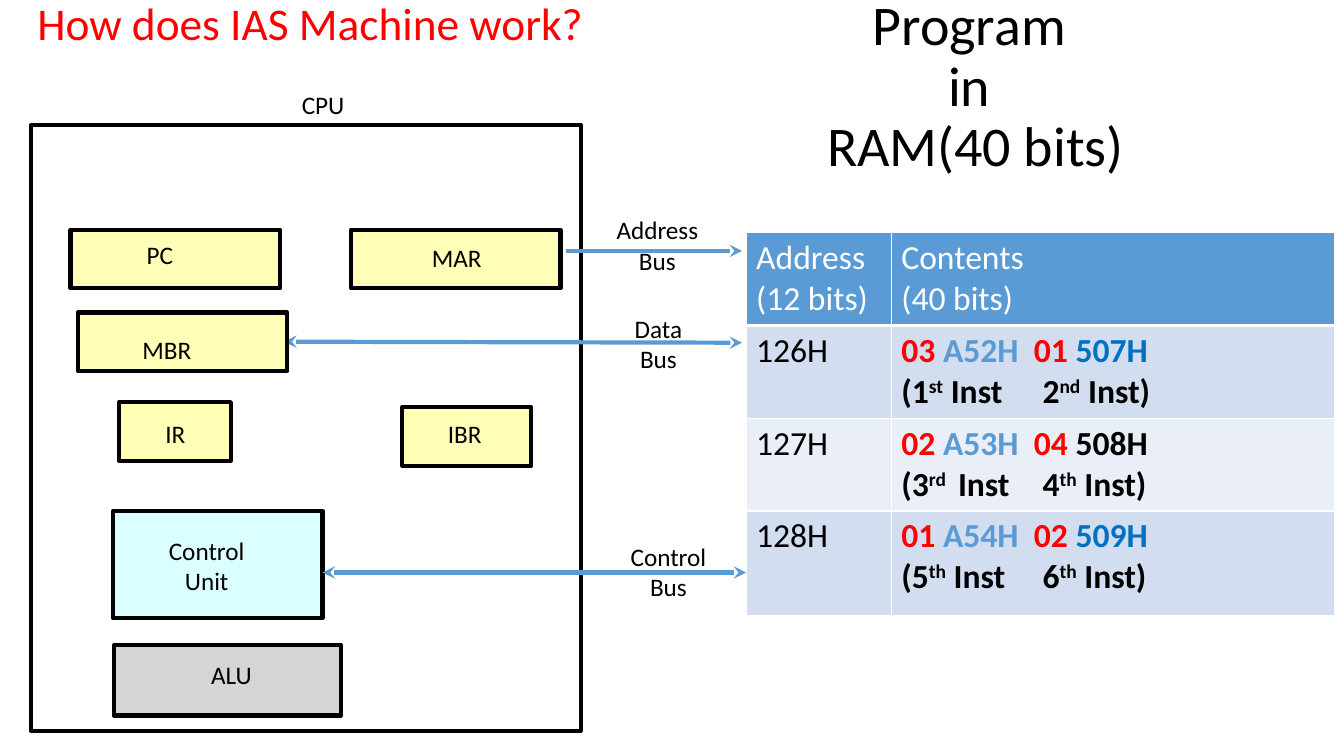
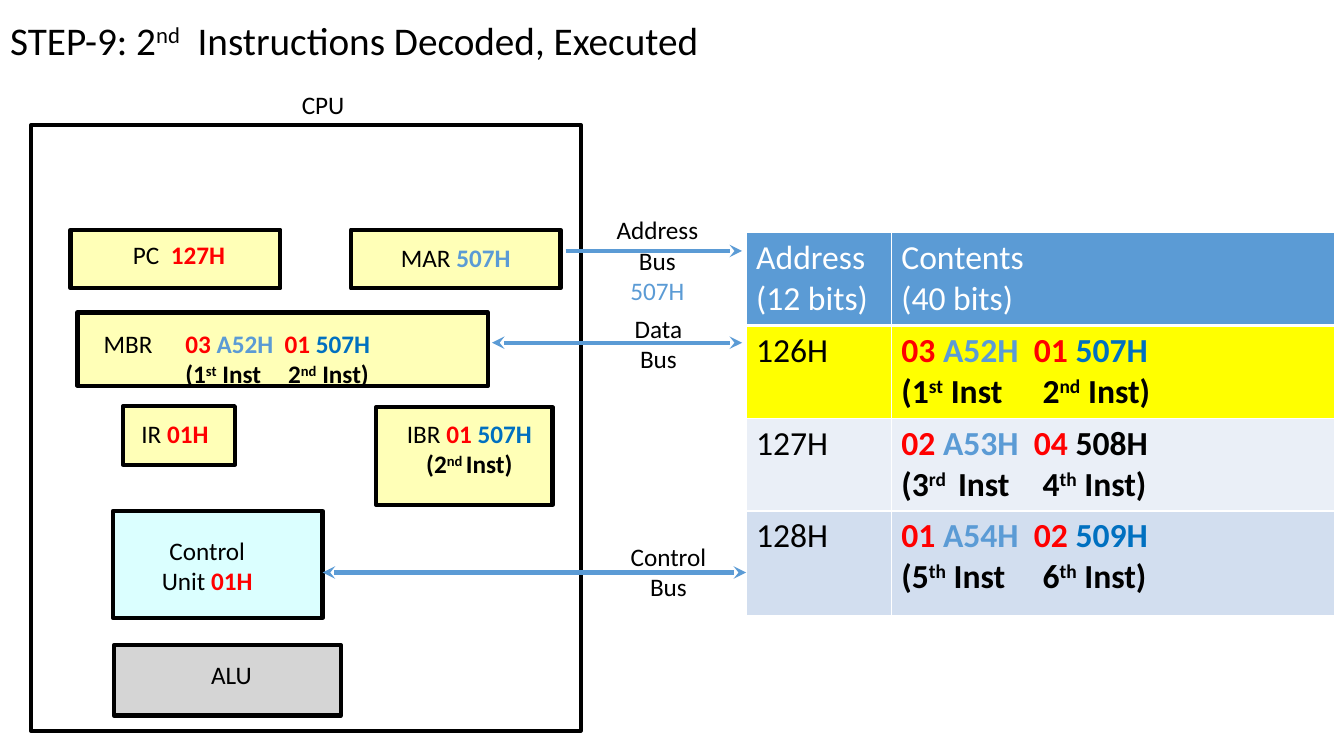
import dataclasses

import lxml.etree
import pptx
import pptx.dml.color
import pptx.enum.shapes
import pptx.enum.text
import pptx.oxml.ns
import pptx.util

Inches = pptx.util.Inches
ALIGN = pptx.enum.text.PP_ALIGN


@dataclasses.dataclass(frozen=True)
class Theme:
    font: str = "Calibri"
    ink: str = "000000"
    white: str = "FFFFFF"
    red: str = "FF0000"
    sky: str = "5B9BD5"
    blue: str = "0070C0"
    register: str = "FFFF99"
    control: str = "CCFFFF"
    arithmetic: str = "C4C4C4"
    bands: tuple = ("D2DEEF", "EAEFF7")
    highlight: str = "FFFF00"
    opacity: int = 70
    line: float = 3
    label_size: float = 18
    table_size: float = 24
    question_size: float = 32.4
    step_size: float = 28
    heading_size: float = 40


THEME = Theme()


@dataclasses.dataclass(frozen=True)
class Span:
    text: str
    color: str = THEME.ink
    bold: bool = False
    raised: bool = False


@dataclasses.dataclass(frozen=True)
class Word:
    address: str
    first: tuple
    second: tuple
    ordinals: tuple
    last_color: str = THEME.blue


WORDS = (
    Word("126H", ("03", "A52H"), ("01", "507H"), (("1", "st"), ("2", "nd"))),
    Word("127H", ("02", "A53H"), ("04", "508H"), (("3", "rd "), ("4", "th")), THEME.ink),
    Word("128H", ("01", "A54H"), ("02", "509H"), (("5", "th"), ("6", "th"))),
)


def red(text):
    return Span(text, THEME.red, True)


def plain_lines(*lines, color=THEME.ink):
    return [[Span(line, color)] for line in lines]


def instruction_spans(word):
    return [
        red(word.first[0] + " "),
        Span(word.first[1] + "  ", THEME.sky, True),
        red(word.second[0] + " "),
        Span(word.second[1], word.last_color, True),
    ]


def ordinal_spans(word):
    (first, first_suffix), (second, second_suffix) = word.ordinals
    return [
        Span("(" + first, bold=True),
        Span(first_suffix, bold=True, raised=True),
        Span(" Inst\t" + second, bold=True),
        Span(second_suffix, bold=True, raised=True),
        Span(" Inst)", bold=True),
    ]


def rgb(color):
    return pptx.dml.color.RGBColor.from_string(color)


def add_xml(parent, tag, **attributes):
    element = lxml.etree.SubElement(parent, pptx.oxml.ns.qn(tag))
    for name, value in attributes.items():
        element.set(name, str(value))
    return element


def write(frame, lines, size, align=ALIGN.LEFT, spacing=None, tabs=()):
    for index, spans in enumerate(lines):
        para = frame.paragraphs[0] if index == 0 else frame.add_paragraph()
        para.alignment = align
        if spacing:
            para.line_spacing = spacing
        if tabs:
            stops = add_xml(para._p.get_or_add_pPr(), "a:tabLst")
            for stop in tabs:
                add_xml(stops, "a:tab", pos=int(Inches(stop)), algn="l")
        for span in spans:
            run = para.add_run()
            run.text = span.text
            run.font.name = THEME.font
            run.font.size = pptx.util.Pt(size)
            run.font.bold = span.bold
            run.font.color.rgb = rgb(span.color)
            if span.raised:
                run._r.get_or_add_rPr().set("baseline", "30000")


def set_title(page, at, spans, size):
    title = page.shapes.title
    title.left, title.top, title.width, title.height = map(Inches, at)
    frame = title.text_frame
    frame.auto_size = pptx.enum.text.MSO_AUTO_SIZE.NONE
    frame.vertical_anchor = pptx.enum.text.MSO_ANCHOR.MIDDLE
    write(frame, [spans], size, spacing=0.9)


def add_heading(page, at, lines):
    box = page.shapes.add_textbox(*map(Inches, at))
    box.text_frame.word_wrap = True
    box.text_frame.vertical_anchor = pptx.enum.text.MSO_ANCHOR.MIDDLE
    write(box.text_frame, lines, THEME.heading_size, ALIGN.CENTER, 0.9)


def add_label(page, at, lines, align=ALIGN.CENTER, tabs=()):
    height = 0.1 + 0.3 * len(lines)
    box = page.shapes.add_textbox(*map(Inches, (*at, height)))
    box.text_frame.word_wrap = align == ALIGN.LEFT
    box.text_frame.auto_size = pptx.enum.text.MSO_AUTO_SIZE.SHAPE_TO_FIT_TEXT
    write(box.text_frame, lines, THEME.label_size, align, tabs=tabs)


def add_block(page, at, color=None):
    block = page.shapes.add_shape(
        pptx.enum.shapes.MSO_SHAPE.RECTANGLE, *map(Inches, at))
    block.shadow.inherit = False
    block.line.color.rgb = rgb(THEME.ink)
    block.line.width = pptx.util.Pt(THEME.line)
    if color is None:
        block.fill.background()
        return
    block.fill.solid()
    block.fill.fore_color.rgb = rgb(color)
    shade = block._element.spPr.find(pptx.oxml.ns.qn("a:solidFill"))[0]
    add_xml(shade, "a:alpha", val=THEME.opacity * 1000)


def add_bus(page, start, end, two_way=True):
    bus = page.shapes.add_connector(
        pptx.enum.shapes.MSO_CONNECTOR.STRAIGHT, *map(Inches, (*start, *end)))
    bus.line.color.rgb = rgb(THEME.sky)
    bus.line.width = pptx.util.Pt(THEME.line)
    line = bus.line._get_or_add_ln()
    if two_way:
        add_xml(line, "a:headEnd", type="stealth")
    add_xml(line, "a:tailEnd", type="stealth")
    add_xml(bus._element.spPr, "a:effectLst")


def fill_cell(cell, lines, color, top=1, bottom=1):
    cell.fill.solid()
    cell.fill.fore_color.rgb = rgb(color)
    properties = cell._tc.get_or_add_tcPr()
    edges = (("a:lnL", 1), ("a:lnR", 1), ("a:lnT", top), ("a:lnB", bottom))
    for index, (tag, width) in enumerate(edges):
        edge = add_xml(properties, tag, w=int(pptx.util.Pt(width)))
        add_xml(add_xml(edge, "a:solidFill"), "a:srgbClr", val=THEME.white)
        properties.insert(index, edge)
    tabs = (1.4,) if any("\t" in span.text for spans in lines for span in spans) else ()
    write(cell.text_frame, lines, THEME.table_size, tabs=tabs)


def add_memory(page, active=None):
    widths, heights = (1.44, 4.4), (0.92, 0.92, 0.92, 1.04)
    table = page.shapes.add_table(
        len(heights), len(widths), *map(Inches, (7.4, 2.31, 5.84, 3.75))).table
    for column, width in zip(table.columns, widths):
        column.width = Inches(width)
    for row, height in zip(table.rows, heights):
        row.height = Inches(height)
    headers = (("Address", "(12 bits)"), ("Contents", "(40 bits)"))
    for index, header in enumerate(headers):
        lines = plain_lines(*header, color=THEME.white)
        fill_cell(table.cell(0, index), lines, THEME.sky, bottom=3)
    for index, word in enumerate(WORDS):
        color = THEME.highlight if word is active else THEME.bands[index % 2]
        contents = (
            plain_lines(word.address),
            [instruction_spans(word), ordinal_spans(word)],
        )
        for column, lines in enumerate(contents):
            fill_cell(table.cell(index + 1, column), lines, color,
                      top=3 if index == 0 else 1)


def add_machine(page, data_start, address_line):
    add_block(page, (0.31, 1.24, 5.45, 6.01))
    add_label(page, (2.89, 0.84, 0.63), plain_lines("CPU"))
    add_block(page, (1.13, 6.4, 2.25, 0.7), THEME.arithmetic)
    add_label(page, (1.99, 6.49, 0.61), plain_lines("ALU"))
    add_block(page, (1.12, 5.07, 2.08, 1.06), THEME.control)
    for left in (0.7, 3.48):
        add_block(page, (left, 2.28, 2.08, 0.58), THEME.register)
    add_label(page, (6.01, 2.08, 1.02), [[Span("Address")], address_line])
    add_label(page, (6.19, 3.06, 0.68), plain_lines("Data", "Bus"))
    add_label(page, (6.15, 5.32, 0.96), plain_lines("Control", "Bus"))
    add_bus(page, (5.61, 2.49), (7.36, 2.49), two_way=False)
    add_bus(page, data_start, (7.36, 3.4))
    add_bus(page, (3.2, 5.68), (7.4, 5.68))


def build_overview(page):
    set_title(page, (0.27, 0.01, 6.26, 0.49),
              [Span("How does IAS Machine work?", THEME.red)], THEME.question_size)
    add_heading(page, (8.1, 0.59, 3.15, 0.57),
                plain_lines("Program ", "in ", "RAM(40 bits)"))
    add_memory(page)
    add_machine(page, (2.82, 3.39), [Span("Bus")])
    for at in ((1.18, 3.99, 1.11, 0.58), (0.77, 3.1, 2.08, 0.58), (3.99, 4.04, 1.28, 0.58)):
        add_block(page, at, THEME.register)
    labels = (
        ((1.57, 5.26, 0.96), ("Control", "Unit")),
        ((1.54, 4.1, 0.4), ("IR",)),
        ((1.35, 2.33, 0.47), ("PC",)),
        ((4.18, 2.36, 0.7), ("MAR",)),
        ((1.3, 3.27, 0.71), ("MBR",)),
        ((4.34, 4.1, 0.54), ("IBR",)),
    )
    for at, lines in labels:
        add_label(page, at, plain_lines(*lines))


def build_step(page):
    set_title(page, (0, 0.11, 13.24, 0.63),
              [Span("STEP-9: 2"), Span("nd", raised=True),
               Span("  Instructions Decoded, Executed")], THEME.step_size)
    word = WORDS[0]
    add_memory(page, active=word)
    add_machine(page, (4.88, 3.4), [Span("Bus "), Span("507H", THEME.sky)])
    for at in ((1.22, 4.03, 1.11, 0.58), (0.77, 3.1, 4.07, 0.73), (3.73, 4.04, 1.75, 0.97)):
        add_block(page, at, THEME.register)
    second_instruction = [
        Span("(2", bold=True),
        Span("nd ", bold=True, raised=True),
        Span("Inst)", bold=True),
    ]
    labels = (
        ((1.5, 5.26, 1.11), [[Span("Control")], [Span("Unit "), red("01H")]]),
        ((1.18, 4.1, 1.11), [[Span("IR "), red("01H")]]),
        ((0.77, 2.33, 2.01), [[Span("PC  "), red("127H")]]),
        ((3.48, 2.36, 2.08), [[Span("MAR "), Span("507H", THEME.sky, True)]]),
        ((3.93, 4.1, 1.45), [[Span("IBR "), *instruction_spans(word)[2:]],
                             second_instruction]),
    )
    for at, lines in labels:
        add_label(page, at, lines)
    add_label(page, (0.93, 3.21, 3.83),
              [[Span("MBR\t"), *instruction_spans(word)],
               [Span("\t"), *ordinal_spans(word)]],
              ALIGN.LEFT, tabs=(0.81, 1.83))


def main():
    deck = pptx.Presentation()
    deck.slide_width, deck.slide_height = Inches(13.33), Inches(7.5)
    title_only = deck.slide_layouts[5]
    for build in (build_overview, build_step):
        build(deck.slides.add_slide(title_only))
    deck.save("out.pptx")


if __name__ == "__main__":
    main()
